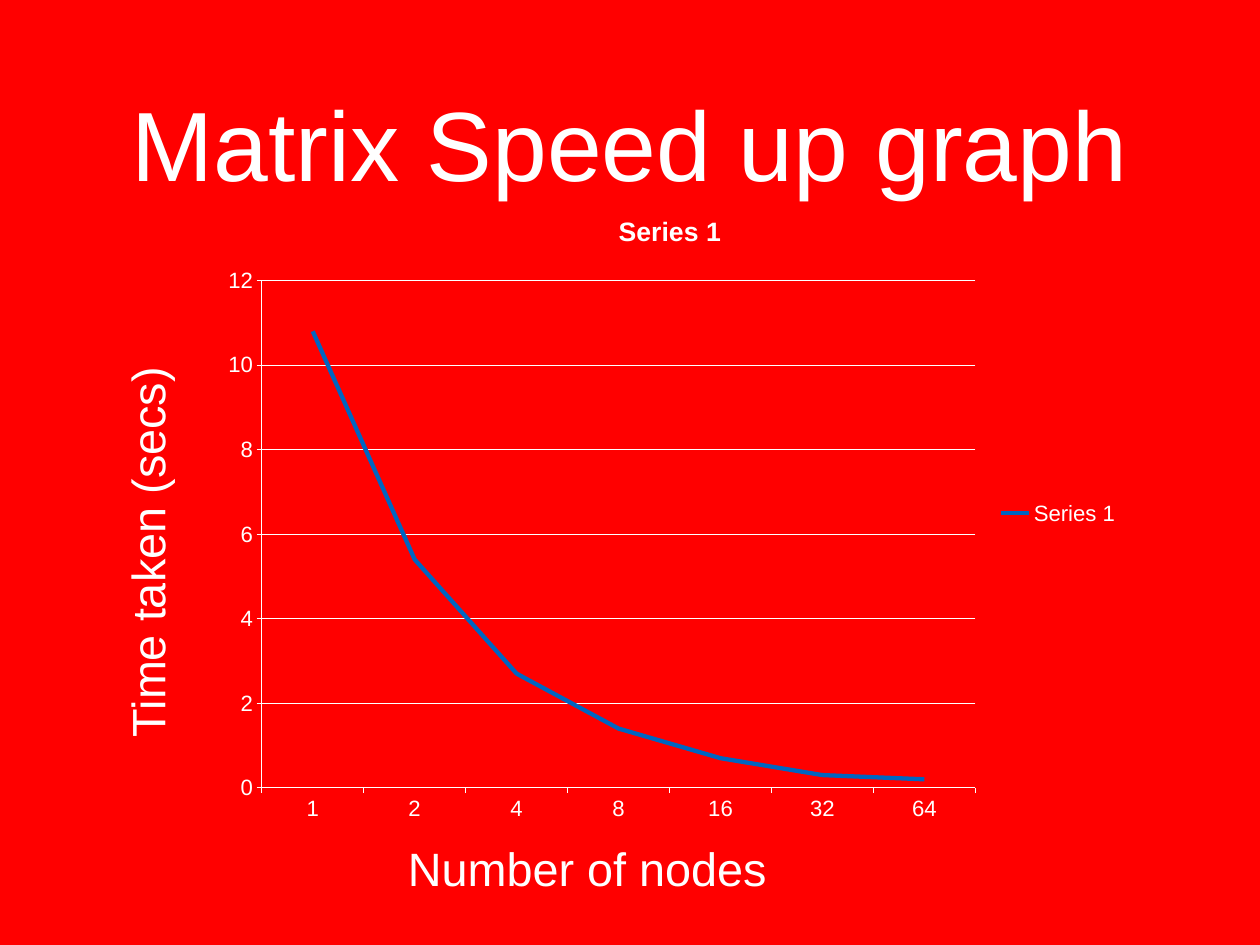
from pptx import Presentation
from pptx.chart.data import CategoryChartData
from pptx.dml.color import RGBColor
from pptx.enum.chart import XL_CHART_TYPE, XL_LEGEND_POSITION, XL_MARKER_STYLE, XL_TICK_MARK
from pptx.enum.text import MSO_ANCHOR, PP_ALIGN
from pptx.util import Inches, Pt

RED = RGBColor(0xFF, 0x00, 0x00)
WHITE = RGBColor(0xFF, 0xFF, 0xFF)
BLUE = RGBColor(0x00, 0x65, 0xC1)
FONT = "Arial"


def box_of(left, top, width, height):
    return Inches(left), Inches(top), Inches(width), Inches(height)


def set_font(font, size, bold=False):
    font.name = FONT
    font.size = Pt(size)
    font.bold = bold
    font.color.rgb = WHITE


def fill_text(sp, text, size, inset, wrap):
    tf = sp.text_frame
    tf.word_wrap = wrap
    tf.vertical_anchor = MSO_ANCHOR.MIDDLE
    tf.margin_left = tf.margin_right = tf.margin_top = tf.margin_bottom = Inches(inset)
    p = tf.paragraphs[0]
    p.text = text
    p.alignment = PP_ALIGN.CENTER
    set_font(p.font, size)


def add_title(s, box, text):
    sp = s.shapes.title
    sp.left, sp.top, sp.width, sp.height = box
    fill_text(sp, text, 80, 0, True)


def add_axis_label(s, box, text, rotation=0):
    sp = s.shapes.add_textbox(*box)
    sp.rotation = rotation
    fill_text(sp, text, 38, 0.06, False)


def add_time_chart(s, box, name, nodes, times):
    data = CategoryChartData()
    data.categories = nodes
    data.add_series(name, times)
    chart = s.shapes.add_chart(XL_CHART_TYPE.LINE, *box, data).chart
    set_font(chart.font, 18)

    chart.has_title = True
    p = chart.chart_title.text_frame.paragraphs[0]
    p.text = name
    set_font(p.font, 21.6, True)

    chart.has_legend = True
    chart.legend.position = XL_LEGEND_POSITION.RIGHT
    chart.legend.include_in_layout = False

    for axis in (chart.category_axis, chart.value_axis):
        axis.major_tick_mark = XL_TICK_MARK.OUTSIDE
        axis.minor_tick_mark = XL_TICK_MARK.NONE
        axis.format.line.color.rgb = WHITE
        axis.format.line.width = Pt(0.75)
    axis = chart.value_axis
    axis.minimum_scale, axis.maximum_scale, axis.major_unit = 0, 12, 2
    axis.has_major_gridlines = True
    axis.major_gridlines.format.line.color.rgb = WHITE
    axis.major_gridlines.format.line.width = Pt(0.75)

    chart.plots[0].vary_by_categories = False
    series = chart.plots[0].series[0]
    series.smooth = False
    series.marker.style = XL_MARKER_STYLE.NONE
    series.format.line.color.rgb = BLUE
    series.format.line.width = Pt(3.5)


def main():
    prs = Presentation()
    prs.slide_width, prs.slide_height = Inches(14.22), Inches(10.67)
    s = prs.slides.add_slide(prs.slide_layouts[5])
    s.background.fill.solid()
    s.background.fill.fore_color.rgb = RED

    add_title(s, box_of(1.04, 0.44, 12.14, 2.32), "Matrix Speed up graph")
    nodes = [str(2 ** n) for n in range(7)]
    times = [10.8, 5.4, 2.7, 1.4, 0.7, 0.3, 0.2]
    add_time_chart(s, box_of(2.37, 2.17, 10.38, 7.25), "Series 1", nodes, times)
    add_axis_label(s, box_of(4.5, 9.42, 4.26, 0.75), "Number of nodes")
    add_axis_label(s, box_of(-0.52, 5.86, 4.35, 0.75), "Time taken (secs)", 270)
    prs.save("out.pptx")


if __name__ == "__main__":
    main()
